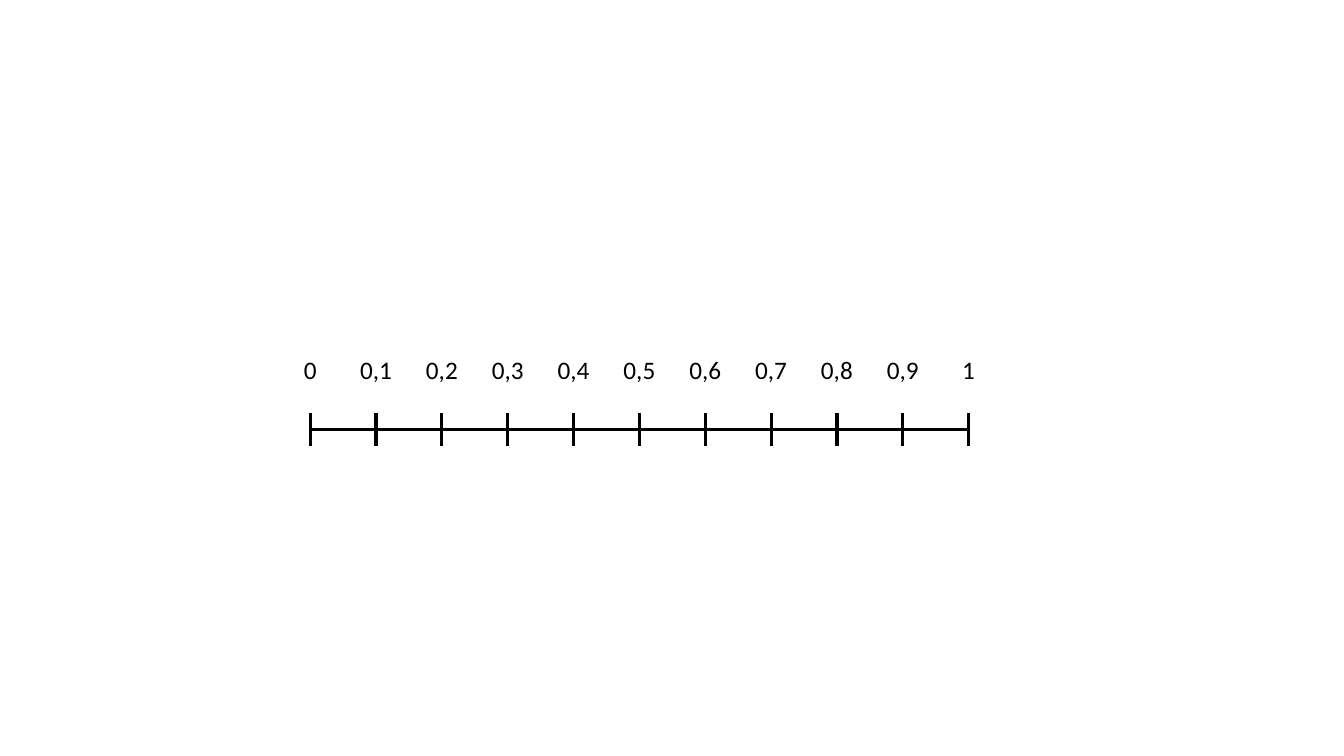
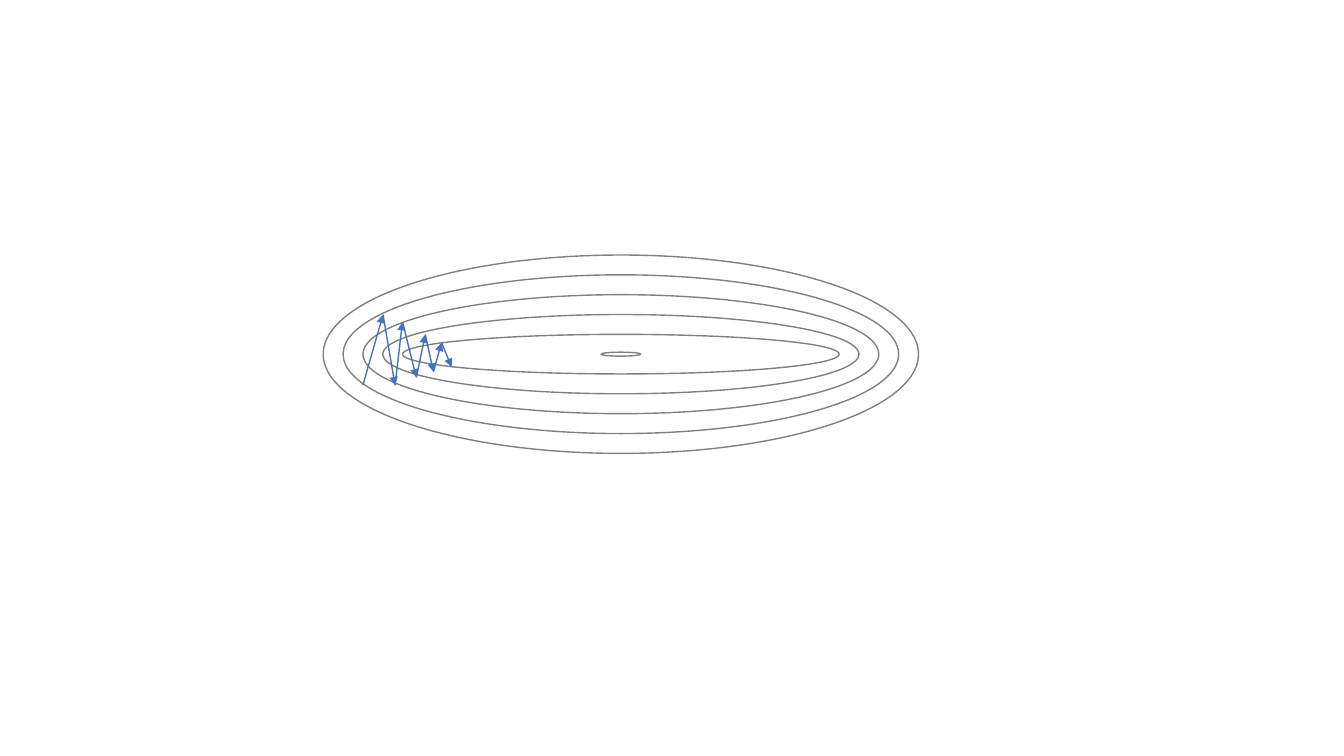
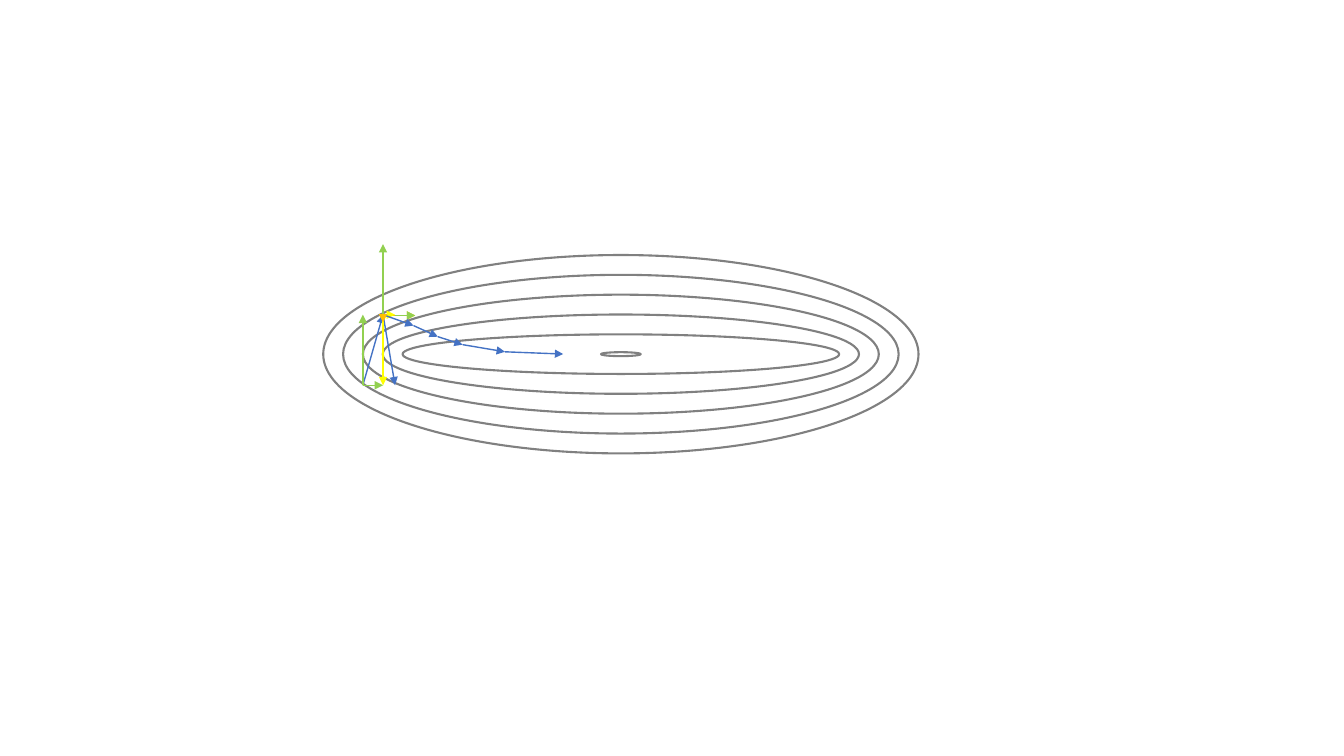
from itertools import pairwise

from lxml import etree
from pptx import Presentation
from pptx import util as u
from pptx.dml import color
from pptx.enum import shapes, text
from pptx.oxml import ns

BLACK, GREY, BLUE = "000000", "808080", "4472C4"
GREEN, YELLOW, ORANGE = "92D050", "FFFF00", "FFC000"
FONT = "Calibri"
BLANK_LAYOUT = 6

# Contour rings: five nested ellipses at equal gaps and a flat core
CENTER = (443.5, 253)
OUTER_SIZE = (425.2, 141.7)
RING_STEP = 28.35
RING_COUNT = 5
CORE_SIZE = (28.35, 2.83)

# First two descent steps, shared by both contour slides
START, CREST, VALLEY = (259.2, 275.2), (273.6, 224.8), (282.2, 275.2)


def rgb(value):
    return color.RGBColor.from_string(value)


class Deck:
    def __init__(self):
        self.presentation = Presentation()
        self.presentation.slide_width = u.Pt(960)
        self.presentation.slide_height = u.Pt(540)
        self.slide = None

    def add_slide(self):
        layout = self.presentation.slide_layouts[BLANK_LAYOUT]
        self.slide = self.presentation.slides.add_slide(layout)

    def line(self, start, end, line_color, width=1, arrow=False):
        connector = self.slide.shapes.add_connector(
            shapes.MSO_CONNECTOR.STRAIGHT, *map(u.Pt, (*start, *end)))
        connector.line.color.rgb = rgb(line_color)
        connector.line.width = u.Pt(width)
        if arrow:
            outline = connector.line._get_or_add_ln()
            etree.SubElement(outline, ns.qn("a:tailEnd"), type="triangle")
        properties = connector._element.spPr
        etree.SubElement(properties, ns.qn("a:effectLst"))

    def arrows(self, points, line_color):
        """Chain of arrows from each point to the next."""
        for start, end in pairwise(points):
            self.line(start, end, line_color, arrow=True)

    def label(self, words, center_x, top, width, height):
        shape = self.slide.shapes.add_textbox(
            *map(u.Pt, (center_x - width / 2, top, width, height)))
        frame = shape.text_frame
        frame.word_wrap = True
        frame.auto_size = text.MSO_AUTO_SIZE.SHAPE_TO_FIT_TEXT
        frame.text = words
        paragraph = frame.paragraphs[0]
        paragraph.alignment = text.PP_ALIGN.CENTER
        font = paragraph.runs[0].font
        font.name, font.size = FONT, u.Pt(18)
        font.color.rgb = rgb(BLACK)

    def ellipse(self, center, size, width):
        (x, y), (w, h) = center, size
        shape = self.slide.shapes.add_shape(
            shapes.MSO_SHAPE.OVAL, *map(u.Pt, (x - w / 2, y - h / 2, w, h)))
        shape.shadow.inherit = False
        shape.fill.background()
        shape.line.color.rgb = rgb(GREY)
        shape.line.width = u.Pt(width)

    def contours(self, width):
        for ring in range(RING_COUNT):
            size = [side - ring * RING_STEP for side in OUTER_SIZE]
            self.ellipse(CENTER, size, width)
        self.ellipse(CENTER, CORE_SIZE, width)


def number_line(deck):
    deck.add_slide()
    left, step, count, axis_y, half_tick = 221.6, 47.03, 10, 306.9, 11.9
    right = left + step * count
    deck.line((right + 0.5, axis_y), (left - 0.5, axis_y), BLACK, 2.25)
    for index in range(count + 1):
        x = left + index * step
        deck.line((x, axis_y - half_tick), (x, axis_y + half_tick), BLACK, 2.25)
        words = f"{index / count:g}".replace(".", ",")
        deck.label(words, x, 249.3, 38.9, 29.1)


def zigzag_descent(deck):
    deck.add_slide()
    deck.contours(1)
    deck.arrows([START, CREST, VALLEY, (287.5, 230), (297.4, 269.6),
                 (303.8, 239), (309.6, 265.6), (315.4, 244.8),
                 (322.6, 262.1)], BLUE)


def momentum_descent(deck):
    deck.add_slide()
    crest_x, crest_y = CREST
    # Horizontal parts at the crest, behind the rings
    component_end = (296.6, crest_y + 0.5)
    deck.arrows([(crest_x, crest_y + 0.5), component_end], ORANGE)
    deck.arrows([(VALLEY[0], crest_y + 0.5), component_end], GREEN)
    deck.contours(1.5)
    # First two steps and their components
    deck.arrows([START, CREST, VALLEY], BLUE)
    deck.arrows([START, (crest_x, START[1])], GREEN)
    deck.arrows([START, (START[0], crest_y)], GREEN)
    deck.arrows([CREST, (crest_x, VALLEY[1])], YELLOW)
    deck.arrows([CREST, (VALLEY[0], crest_y)], YELLOW)
    deck.arrows([CREST, (crest_x, 174.4)], GREEN)
    # Smoothed path toward the core
    deck.arrows([CREST, (295.4, 232.6), (312.8, 240.5), (330.5, 246.2),
                 (360.7, 251.3), (402.3, 252.9)], BLUE)
    deck.arrows([CREST, (crest_x, 230.4)], ORANGE)


def main():
    deck = Deck()
    number_line(deck)
    zigzag_descent(deck)
    momentum_descent(deck)
    deck.presentation.save("out.pptx")


if __name__ == "__main__":
    main()
